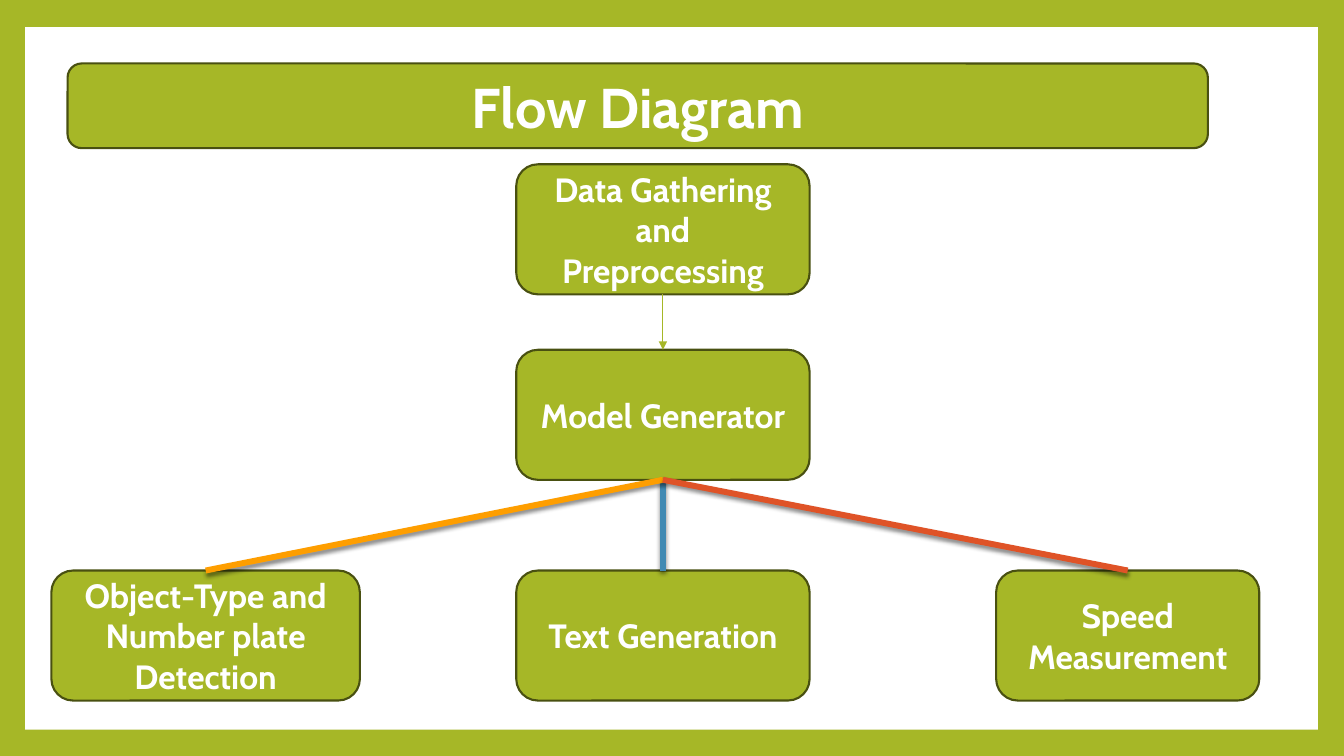
from lxml.etree import SubElement
from pptx import Presentation
from pptx.dml.color import RGBColor
from pptx.enum.shapes import MSO_CONNECTOR, MSO_SHAPE
from pptx.enum.text import MSO_ANCHOR, MSO_AUTO_SIZE, PP_ALIGN
from pptx.oxml.ns import qn
from pptx.util import Inches, Pt

COLORS = {
    "green": "A6B727",
    "outline": "495011",
    "white": "FFFFFF",
    "blue": "418AB3",
    "orange": "FE9E00",
    "red": "DF5327",
    "black": "000000",
}
FRAME_FORMAT = {
    "word_wrap": True,
    "auto_size": MSO_AUTO_SIZE.NONE,
    "vertical_anchor": MSO_ANCHOR.MIDDLE,
}
FONT_FORMAT = {"name": "Cabin", "bold": True}
SHADOW_FORMAT = {
    "blurRad": str(Pt(3)),
    "dist": str(Pt(2)),
    "dir": "5400000",
    "algn": "ctr",
    "rotWithShape": "0",
}


def add_panel(kind, left, top, width, height, fill, outline=None):
    panel = slide.shapes.add_shape(
        kind, Inches(left), Inches(top), Inches(width), Inches(height))
    panel.shadow.inherit = False
    panel.fill.solid()
    panel.fill.fore_color.rgb = RGBColor.from_string(COLORS[fill])
    if outline:
        panel.line.color.rgb = RGBColor.from_string(COLORS[outline])
        panel.line.width = Pt(1.5)
    else:
        panel.line.fill.background()
    return panel


def write_label(shape, wording, size):
    frame = shape.text_frame
    frame.text = wording
    for name, value in FRAME_FORMAT.items():
        setattr(frame, name, value)
    paragraph = frame.paragraphs[0]
    paragraph.alignment = PP_ALIGN.CENTER
    font = paragraph.runs[0].font
    font.size = Pt(size)
    font.color.rgb = RGBColor.from_string(COLORS["white"])
    for name, value in FONT_FORMAT.items():
        setattr(font, name, value)


deck = Presentation()
deck.slide_width = Inches(13.33)
deck.slide_height = Inches(7.5)
slide = deck.slides.add_slide(deck.slide_layouts[5])
slide.background.fill.solid()
slide.background.fill.fore_color.rgb = RGBColor.from_string(COLORS["green"])

add_panel(MSO_SHAPE.RECTANGLE, 0.25, 0.27, 12.82, 6.97, "white")
banner = add_panel(
    MSO_SHAPE.ROUNDED_RECTANGLE, 0.67, 0.63, 11.31, 0.84, "green", "outline")

heading = slide.shapes.title
for side in ("left", "top", "width", "height"):
    setattr(heading, side, getattr(banner, side))
write_label(heading, "Flow Diagram", 40)
banner._element.addnext(heading._element)

STEPS = [
    ("Data Gathering and Preprocessing", 5.12, 1.63, 2.91),
    ("Model Generator", 5.12, 3.47, 2.91),
    ("Object-Type and Number plate Detection", 0.51, 5.66, 3.06),
    ("Text Generation", 5.12, 5.66, 2.91),
    ("Speed Measurement", 9.88, 5.66, 2.61),
]
steps = []
for wording, left, top, width in STEPS:
    step = add_panel(
        MSO_SHAPE.ROUNDED_RECTANGLE, left, top, width, 1.29, "green", "outline")
    write_label(step, wording, 24)
    steps.append(step)
gathering, generator, detection, generation, speed = steps

FLOWS = [
    (gathering, generator, "green", 0.79, True),
    (generator, generation, "blue", 4.25, False),
    (generator, detection, "orange", 4.25, False),
    (generator, speed, "red", 4.25, False),
]
for source, target, color, weight, is_arrow in FLOWS:
    flow = slide.shapes.add_connector(MSO_CONNECTOR.STRAIGHT, 0, 0, 0, 0)
    flow.begin_connect(source, 2)
    flow.end_connect(target, 0)
    flow.line.color.rgb = RGBColor.from_string(COLORS[color])
    flow.line.width = Pt(weight)
    properties = flow._element.spPr
    effects = SubElement(properties, qn("a:effectLst"))
    if is_arrow:
        SubElement(properties.find(qn("a:ln")), qn("a:tailEnd"), type="triangle")
    else:
        shadow = SubElement(effects, qn("a:outerShdw"), SHADOW_FORMAT)
        tint = SubElement(shadow, qn("a:srgbClr"), val=COLORS["black"])
        SubElement(tint, qn("a:alpha"), val="45000")

deck.save("out.pptx")
